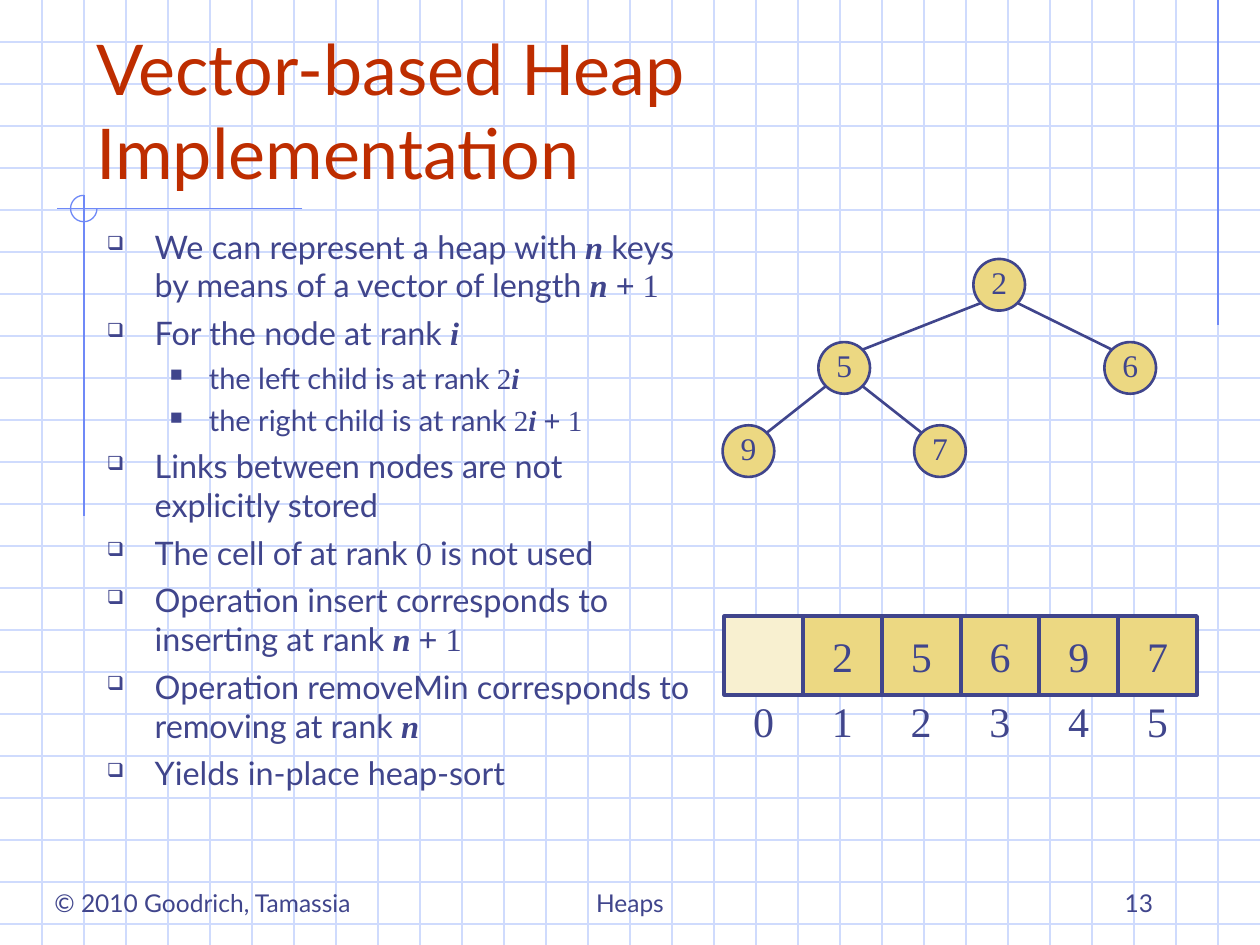
from math import sqrt
from lxml.etree import SubElement
from pptx import Presentation
from pptx.dml.color import RGBColor
from pptx.enum.shapes import MSO_CONNECTOR, MSO_SHAPE
from pptx.enum.text import MSO_ANCHOR, PP_ALIGN
from pptx.oxml.ns import qn
from pptx.util import Inches, Pt

COLOR = RGBColor.from_string
INK, GOLD, PALE = "40458C", "ECD882", "F8F0D0"
GRID, ACCENT, RED = "CFDBFD", "6F89F7", "BE2D00"
SANS, SERIF = "Lato", "Times New Roman"
COLUMNS, ROWS = 30, 22.5  # background squares across and down

deck = Presentation()
deck.slide_width, deck.slide_height = Inches(10), Inches(7.5)
slide = deck.slides.add_slide(deck.slide_layouts[6])
shapes = slide.shapes
square = deck.slide_width / COLUMNS


def rule(x1, y1, x2, y2, color, width=0.75):
    """Draw a straight line between two points given in EMU."""
    line = shapes.add_connector(MSO_CONNECTOR.STRAIGHT, *map(round, (x1, y1, x2, y2)))
    line.line.color.rgb = COLOR(color)
    line.line.width = Pt(width)
    SubElement(line._element.spPr, qn("a:effectLst"))


def write(holder, text, size, font=SERIF, align=PP_ALIGN.CENTER, color=INK,
          anchor=MSO_ANCHOR.MIDDLE, wrap=False, margins=(0.1, 0.05, 0.1, 0.05)):
    """Put one paragraph of text into a shape or text box."""
    frame = holder.text_frame
    frame.word_wrap, frame.vertical_anchor = wrap, anchor
    (frame.margin_left, frame.margin_top,
     frame.margin_right, frame.margin_bottom) = map(Inches, margins)
    paragraph = frame.paragraphs[0]
    paragraph.text, paragraph.alignment = text, align
    paragraph.font.name, paragraph.font.size = font, Pt(size)
    paragraph.font.color.rgb = COLOR(color)


# Squared paper
for row in range(1, int(ROWS) + 1):
    rule(0, row * square, deck.slide_width, row * square, GRID)
for column in range(1, COLUMNS):
    rule(column * square, 0, column * square, deck.slide_height, GRID)

# Accent lines and three-quarter circle
for ends in ((29, 0, 29, 7.75), (7.2, 4.97, 1.35, 4.97), (2, 4.65, 2, 12.28)):
    rule(*(end * square for end in ends), ACCENT)
hook = shapes.add_shape(MSO_SHAPE.ARC, Inches(0.56), Inches(1.55), Inches(0.21), Inches(0.21))
hook.adjustments[0], hook.adjustments[1] = 0, 162  # 0 to 270 degrees
hook.shadow.inherit = False
hook.fill.background()
hook.line.color.rgb = COLOR(ACCENT)
hook.line.width = Pt(0.75)

# Title and footer
for left, top, width, height, text, size, align, color in (
    (2, 1, 26.25, 3.75, "Vector-based Heap Implementation", 40, PP_ALIGN.LEFT, RED),
    (1, 20.5, 8.75, 1.5, "© 2010 Goodrich, Tamassia", 14, PP_ALIGN.LEFT, INK),
    (10.25, 20.5, 9.5, 1.5, "Heaps", 14, PP_ALIGN.CENTER, INK),
    (21.5, 20.5, 6.25, 1.5, "13", 14, PP_ALIGN.RIGHT, INK),
):
    area = shapes.add_textbox(*(round(v * square) for v in (left, top, width, height)))
    write(area, text, size, SANS, align, color, MSO_ANCHOR.BOTTOM, wrap=True)

# Bulleted points: each run is (text, kind)
FONTS = {"word": SANS, "variable": SERIF, "number": SERIF, "plus": "Arial"}
N_PLUS_1 = [("n ", "variable"), ("+", "plus"), (" 1", "number")]
points = [
    (0, [("We can represent a heap with ", "word"), ("n", "variable"),
         (" keys by means of a vector of length ", "word"), *N_PLUS_1]),
    (0, [("For the node at rank ", "word"), ("i", "variable")]),
    (1, [("the left child is at rank ", "word"), ("2", "number"), ("i", "variable")]),
    (1, [("the right child is at rank ", "word"), ("2", "number"),
         ("i ", "variable"), ("+", "plus"), (" 1", "number")]),
    (0, [("Links between nodes are not explicitly stored", "word")]),
    (0, [("The cell of at rank ", "word"), ("0", "number"), (" is not used", "word")]),
    (0, [("Operation insert corresponds to inserting at rank ", "word"), *N_PLUS_1]),
    (0, [("Operation removeMin corresponds to removing at rank ", "word"),
         ("n", "variable")]),
    (0, [("Yields in-place heap-sort", "word")]),
]
# Per level: size, space before, left indent, hanging indent, bullet
LEVELS = [(18.5, 5, 0.38, -0.38, "❑"), (16.6, 4.5, 0.81, -0.31, "■")]
body = shapes.add_textbox(Inches(0.75), Inches(1.75), Inches(4.83), Inches(5.33)).text_frame
body.word_wrap = True
for index, (level, runs) in enumerate(points):
    size, before, indent, hanging, bullet = LEVELS[level]
    point = body.paragraphs[0] if index == 0 else body.add_paragraph()
    point.level, point.space_before = level, Pt(before)
    properties = point._p.get_or_add_pPr()
    properties.set("marL", str(Inches(indent)))
    properties.set("indent", str(Inches(hanging)))
    SubElement(SubElement(properties, qn("a:buClr")), qn("a:srgbClr"), val=INK)
    SubElement(properties, qn("a:buSzPct"), val="60000")
    SubElement(properties, qn("a:buChar"), char=bullet)
    point.font.size = Pt(size)
    point.font.color.rgb = COLOR(INK)
    for text, kind in runs:
        run = point.add_run()
        run.text, run.font.name = text, FONTS[kind]
        if kind == "variable":
            run.font.bold = run.font.italic = True

# Heap: the parent of rank r is rank r // 2
heap = [None, 2, 5, 6, 9, 7]
centers = {1: (7.93, 2.26), 2: (6.7, 2.92), 3: (8.97, 2.92), 4: (5.94, 3.58), 5: (7.46, 3.58)}
diameter = 0.41
reach = diameter / 2 / sqrt(2)  # edges meet the circles on their diagonals
for rank, (x, y) in centers.items():
    if rank > 1:
        parent_x, parent_y = centers[rank // 2]
        side = reach if x > parent_x else -reach
        rule(*map(Inches, (parent_x + side, parent_y + reach, x - side, y - reach)), INK, 1.5)
    node = shapes.add_shape(MSO_SHAPE.OVAL, Inches(x - diameter / 2), Inches(y - diameter / 2),
                            Inches(diameter), Inches(diameter))
    node.shadow.inherit = False
    node.fill.solid()
    node.fill.fore_color.rgb = COLOR(GOLD)
    node.line.color.rgb = COLOR(INK)
    node.line.width = Pt(1.5)
    write(node, str(heap[rank]), 18, margins=(0, 0, 0, 0.05))

# Vector: one cell per rank, with the rank below it
cell_size = 0.625
for rank, key in enumerate(heap):
    left = 5.75 + rank * cell_size
    cell = shapes.add_shape(MSO_SHAPE.RECTANGLE, Inches(left), Inches(4.89),
                            Inches(cell_size), Inches(cell_size))
    cell.shadow.inherit = False
    cell.fill.solid()
    cell.fill.fore_color.rgb = COLOR(GOLD if key else PALE)
    cell.line.color.rgb = COLOR(INK)
    cell.line.width = Pt(2.25)
    if key:
        write(cell, str(key), 24)
    label = shapes.add_textbox(Inches(left + 0.16), Inches(5.52), Inches(0.3), Inches(0.4))
    write(label, str(rank), 24, anchor=MSO_ANCHOR.TOP, wrap=True, margins=(0, 0, 0, 0))

deck.save("out.pptx")
